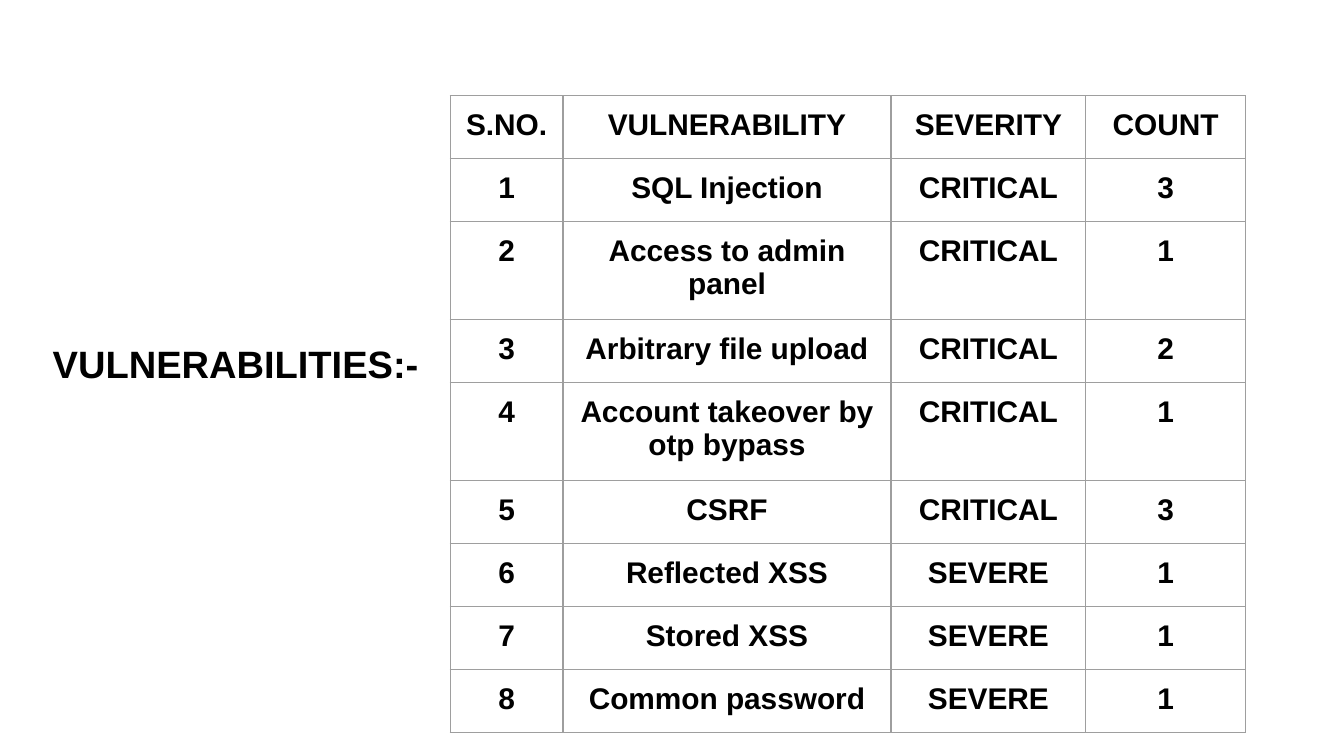
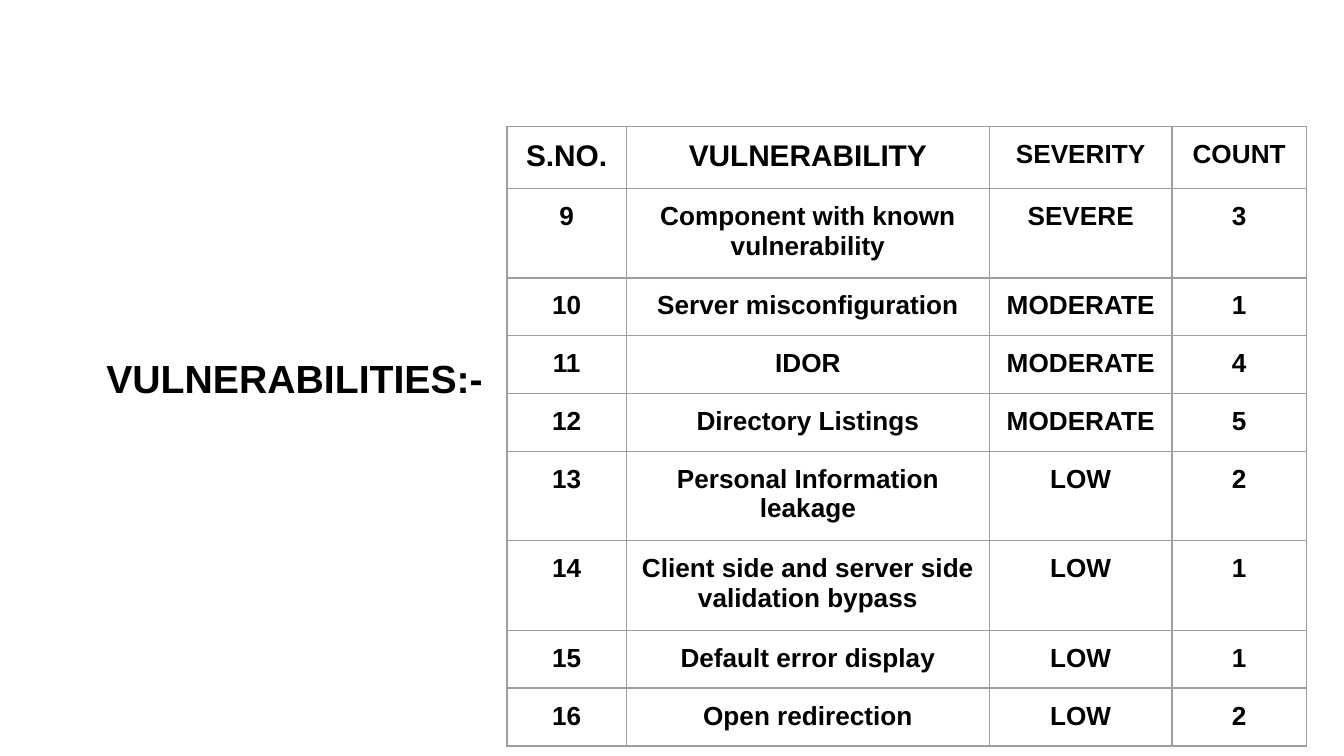
from dataclasses import dataclass

from lxml import etree
from pptx import Presentation
from pptx.dml.color import RGBColor
from pptx.enum.text import MSO_ANCHOR, PP_ALIGN
from pptx.oxml.ns import qn
from pptx.util import Cm, Pt

CENTER = PP_ALIGN.CENTER
TOP = MSO_ANCHOR.TOP
MIDDLE = MSO_ANCHOR.MIDDLE
BLANK = 6


@dataclass(frozen=True)
class Theme:
    font: str = "Arial"
    ink: str = "000000"
    paper: str = "FFFFFF"
    rule: str = "9E9E9E"
    rule_pt: float = 0.75
    inset: float = 0.25
    large: float = 16
    small: float = 14


@dataclass(frozen=True)
class Box:
    left: float
    top: float
    width: float
    height: float

    def lengths(self) -> tuple:
        return Cm(self.left), Cm(self.top), Cm(self.width), Cm(self.height)


@dataclass(frozen=True)
class Page:
    title: Box
    title_pt: float
    left: float
    top: float
    cols: tuple
    single: float
    double: float
    tall: tuple  # table rows that hold two lines
    head_pts: tuple
    body_pt: float
    rows: tuple


THEME = Theme()
TITLE = "VULNERABILITIES:-"
HEAD = ("S.NO.", "VULNERABILITY", "SEVERITY", "COUNT")

PAGES = (
    Page(
        title=Box(0.43, 5.77, 8.05, 2.21), title_pt=20.4,
        left=8.51, top=1.81, cols=(2.13, 6.2, 3.68, 3.02),
        single=1.19, double=1.85, tall=(2, 4),
        head_pts=(THEME.large,) * 4, body_pt=THEME.large,
        rows=(
            ("SQL Injection", "CRITICAL", 3),
            ("Access to admin panel", "CRITICAL", 1),
            ("Arbitrary file upload", "CRITICAL", 2),
            ("Account takeover by otp bypass", "CRITICAL", 1),
            ("CSRF", "CRITICAL", 3),
            ("Reflected XSS", "SEVERE", 1),
            ("Stored XSS", "SEVERE", 1),
            ("Common password", "SEVERE", 1),
        ),
    ),
    Page(
        title=Box(0.86, 5.97, 9.42, 2.34), title_pt=21,
        left=9.58, top=2.39, cols=(2.26, 6.86, 3.45, 2.54),
        single=1.06, double=1.61, tall=(1, 5, 6),
        head_pts=(THEME.large,) * 2 + (THEME.small,) * 2, body_pt=THEME.small,
        rows=(
            ("Component with known vulnerability", "SEVERE", 3),
            ("Server misconfiguration", "MODERATE", 1),
            ("IDOR", "MODERATE", 4),
            ("Directory Listings", "MODERATE", 5),
            ("Personal Information leakage", "LOW", 2),
            ("Client side and server side validation bypass", "LOW", 1),
            ("Default error display", "LOW", 1),
            ("Open redirection", "LOW", 2),
        ),
    ),
)


def write(host, text: str, *, size: float, anchor=TOP) -> None:
    """Put bold centred text in a text box or a table cell."""
    frame = host.text_frame
    frame.word_wrap = True
    holder = host if hasattr(host, "margin_left") else frame
    holder.vertical_anchor = anchor
    for side in ("left", "right", "top", "bottom"):
        setattr(holder, f"margin_{side}", Cm(THEME.inset))
    para = frame.paragraphs[0]
    para.alignment = CENTER
    run = para.add_run()
    run.text = text
    run.font.name = THEME.font
    run.font.size = Pt(size)
    run.font.bold = True
    run.font.color.rgb = RGBColor.from_string(THEME.ink)


def frame_cell(cell) -> None:
    """Clear the fill and rule all four sides."""
    cell.fill.background()
    props = cell._tc.get_or_add_tcPr()
    for spot, tag in enumerate(("a:lnL", "a:lnR", "a:lnT", "a:lnB")):
        line = etree.Element(qn(tag), w=str(Pt(THEME.rule_pt)))
        fill = etree.SubElement(line, qn("a:solidFill"))
        etree.SubElement(fill, qn("a:srgbClr"), val=THEME.rule)
        props.insert(spot, line)


def add_grid(slide, page: Page, first: int) -> None:
    lines = [HEAD] + [(n, *row) for n, row in enumerate(page.rows, first)]
    heights = [page.double if r in page.tall else page.single
               for r in range(len(lines))]
    box = Box(page.left, page.top, sum(page.cols), sum(heights))
    table = slide.shapes.add_table(len(lines), len(HEAD), *box.lengths()).table
    table.first_row = table.horz_banding = False
    for col, width in zip(table.columns, page.cols):
        col.width = Cm(width)
    for r, line in enumerate(lines):
        table.rows[r].height = Cm(heights[r])
        for c, value in enumerate(line):
            cell = table.cell(r, c)
            size = page.body_pt if r else page.head_pts[c]
            write(cell, str(value), size=size)
            frame_cell(cell)


def main() -> None:
    deck = Presentation()
    deck.slide_width, deck.slide_height = Cm(25.4), Cm(14.29)
    first = 1
    for page in PAGES:
        slide = deck.slides.add_slide(deck.slide_layouts[BLANK])
        back = slide.background.fill
        back.solid()
        back.fore_color.rgb = RGBColor.from_string(THEME.paper)
        add_grid(slide, page, first)
        title = slide.shapes.add_textbox(*page.title.lengths())
        write(title, TITLE, size=page.title_pt, anchor=MIDDLE)
        first += len(page.rows)
    deck.save("out.pptx")


if __name__ == "__main__":
    main()
